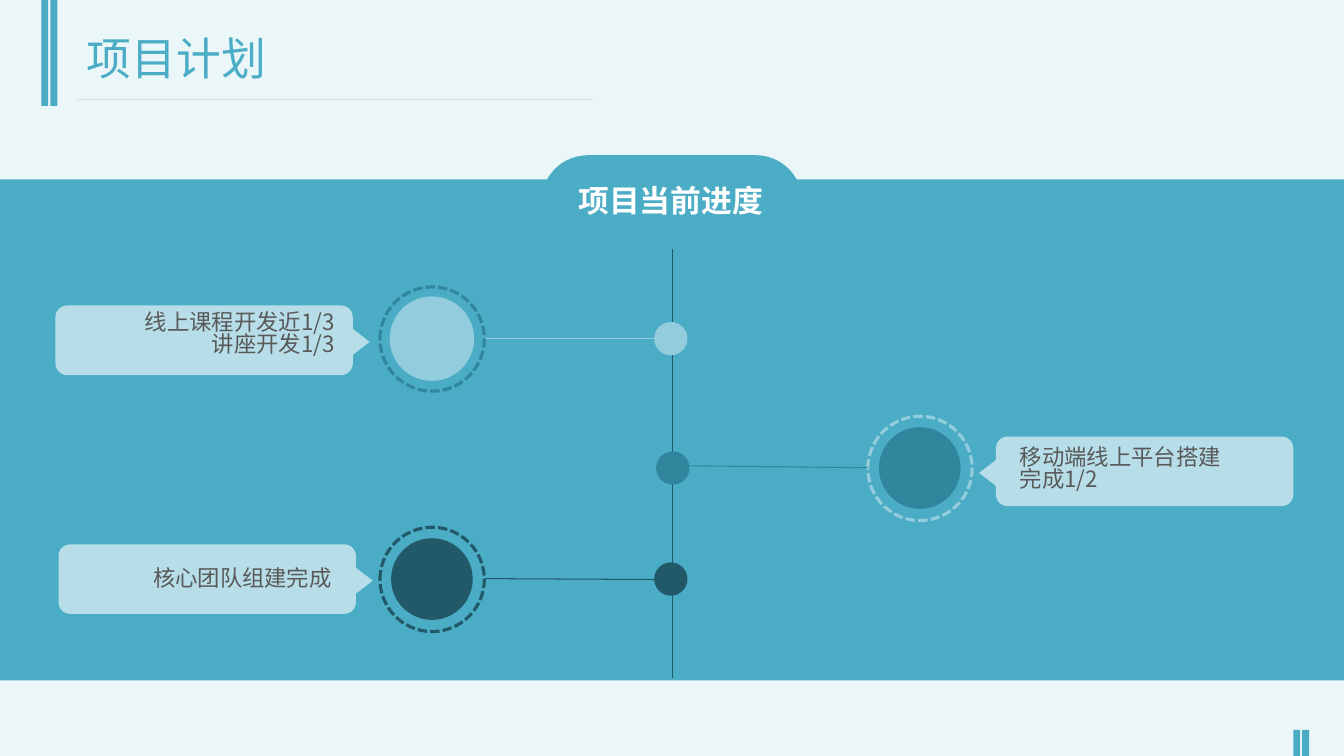
from dataclasses import dataclass

from lxml.etree import SubElement
from pptx import Presentation
from pptx.dml.color import RGBColor
from pptx.enum.dml import MSO_LINE
from pptx.enum.shapes import MSO_CONNECTOR, MSO_SHAPE
from pptx.enum.text import MSO_ANCHOR, MSO_AUTO_SIZE, PP_ALIGN
from pptx.oxml.ns import qn
from pptx.util import Pt

FONT = "Noto Sans CJK SC"
PALE = RGBColor(0xEB, 0xF6, 0xF9)
TEAL = RGBColor(0x4B, 0xAC, 0xC6)
CALLOUT = RGBColor(0xB7, 0xDE, 0xE8)
LIGHT = RGBColor(0x93, 0xCD, 0xDD)
MEDIUM = RGBColor(0x31, 0x85, 0x9C)
DARK = RGBColor(0x21, 0x59, 0x68)
RULE_GRAY = RGBColor(0xD9, 0xD9, 0xD9)
TEXT_GRAY = RGBColor(0x59, 0x59, 0x59)
WHITE = RGBColor(0xFF, 0xFF, 0xFF)


@dataclass
class Milestone:
    color: RGBColor
    ring_color: RGBColor
    disc_x: float
    dot_x: float
    y: float
    link: tuple
    disc_outline: float = 0


class SlideBuilder:
    def __init__(self, slide):
        self.slide = slide
        self.shapes = slide.shapes

    def shape(self, kind, left, top, width, height, fill=None, line=None,
              line_width=0, dashed=False, rotation=0):
        item = self.shapes.add_shape(kind, Pt(left), Pt(top), Pt(width), Pt(height))
        item.shadow.inherit = False
        item.rotation = rotation
        if fill is None:
            item.fill.background()
        else:
            item.fill.solid()
            item.fill.fore_color.rgb = fill
        if line_width:
            item.line.color.rgb = line
            item.line.width = Pt(line_width)
            if dashed:
                item.line.dash_style = MSO_LINE.SQUARE_DOT
        else:
            item.line.fill.background()

    def rect(self, left, top, width, height, fill):
        self.shape(MSO_SHAPE.RECTANGLE, left, top, width, height, fill)

    def circle(self, x, y, size, **style):
        self.shape(MSO_SHAPE.OVAL, x - size / 2, y - size / 2, size, size, **style)

    def line(self, x1, y1, x2, y2, color):
        stroke = self.shapes.add_connector(
            MSO_CONNECTOR.STRAIGHT, Pt(x1), Pt(y1), Pt(x2), Pt(y2))
        stroke.line.color.rgb = color
        stroke.line.width = Pt(0.75)
        SubElement(stroke._element.spPr, qn("a:effectLst"))

    def fill_text(self, holder, text, size, color, bold=False, align=PP_ALIGN.LEFT):
        frame = holder.text_frame
        frame.text = text
        frame.word_wrap = True
        frame.auto_size = MSO_AUTO_SIZE.NONE
        frame.vertical_anchor = MSO_ANCHOR.TOP
        # Tight line spacing lifts the first line; the inset brings it back
        frame.margin_top = Pt(3.6 + 0.14 * size)
        for paragraph in frame.paragraphs:
            paragraph.alignment = align
            paragraph.line_spacing = 0.8
            paragraph.space_before = Pt(0)
            for run in paragraph.runs:
                run.font.name = FONT
                run.font.size = Pt(size)
                run.font.bold = bold
                run.font.color.rgb = color
                SubElement(run.font._element, qn("a:ea"), typeface=FONT)

    def title(self, left, top, width, height, text):
        heading = self.shapes.title
        heading.left, heading.top = Pt(left), Pt(top)
        heading.width, heading.height = Pt(width), Pt(height)
        self.fill_text(heading, text, 32, TEAL)

    def text(self, left, top, width, height, text, size=16, color=TEXT_GRAY, **style):
        box = self.shapes.add_textbox(Pt(left), Pt(top), Pt(width), Pt(height))
        self.fill_text(box, text, size, color, **style)

    def callout(self, left, top, points_right):
        width, height, base, depth = 212.4, 49.7, 28.8, 18.7
        self.shape(MSO_SHAPE.ROUNDED_RECTANGLE, left, top, width, height, CALLOUT)
        x = left + width + 2.7 if points_right else left - 2.7
        self.shape(MSO_SHAPE.ISOSCELES_TRIANGLE, x - base / 2, top + 26 - depth / 2,
                   base, depth, CALLOUT, rotation=90 if points_right else 270)

    def milestone(self, item):
        self.circle(item.disc_x, item.y, 58.3, fill=item.color,
                    line=item.color, line_width=item.disc_outline)
        self.circle(item.disc_x + 0.2, item.y + 0.3, 74.5, line=item.ring_color,
                    line_width=2.25, dashed=True)
        self.line(*item.link, item.color)
        self.circle(item.dot_x, item.y, 23.8, fill=item.color)


def main():
    deck = Presentation()
    deck.slide_width, deck.slide_height = Pt(960), Pt(540)
    slide = deck.slides.add_slide(deck.slide_layouts[5])
    slide.background.fill.solid()
    slide.background.fill.fore_color.rgb = PALE
    page = SlideBuilder(slide)

    # Corner bars, title and rule
    for left in (29.5, 36):
        page.rect(left, 0, 5, 75.6, TEAL)
    for left in (923.8, 930.2):
        page.rect(left, 521.3, 5, 18.7, TEAL)
    page.line(54.7, 71.3, 423.4, 71.3, RULE_GRAY)
    page.title(54.7, 21.6, 624.2, 46, "项目计划")

    # Band, callouts and timeline
    page.rect(0, 128.2, 960, 357.8, TEAL)
    for left, top, points_right in ((711.4, 311.8, False), (41.8, 388.8, True),
                                    (39.6, 218.2, True)):
        page.callout(left, top, points_right)
    page.line(480.2, 177.1, 480.2, 484.6, DARK)

    # Rounded tab with the progress heading
    for x in (420.1, 539.7):
        page.circle(x, 144.4, 67, fill=TEAL)
    page.rect(420.5, 110.9, 120.2, 67, TEAL)
    page.text(406.1, 128.2, 148.6, 33.8, "项目当前进度", 22, WHITE, bold=True)

    # Progress notes
    page.text(2.9, 218.2, 243.4, 46, "线上课程开发近1/3\n讲座开发1/3",
              align=PP_ALIGN.RIGHT)
    page.text(67.7, 401, 176.4, 26.6, "核心团队组建完成", align=PP_ALIGN.RIGHT)
    page.text(721.4, 314.6, 172.8, 46, "移动端线上平台搭建完成1/2")

    # Milestones
    for item in (
        Milestone(LIGHT, MEDIUM, 308.5, 479.2, 241.9, (346.3, 241.9, 478.8, 241.9), 2),
        Milestone(DARK, DARK, 308.5, 479.2, 413.6, (346.3, 413.3, 478.8, 414)),
        Milestone(MEDIUM, LIGHT, 657, 480.6, 334.3, (481, 332.6, 619.9, 334.1)),
    ):
        page.milestone(item)

    deck.save("out.pptx")


if __name__ == "__main__":
    main()
